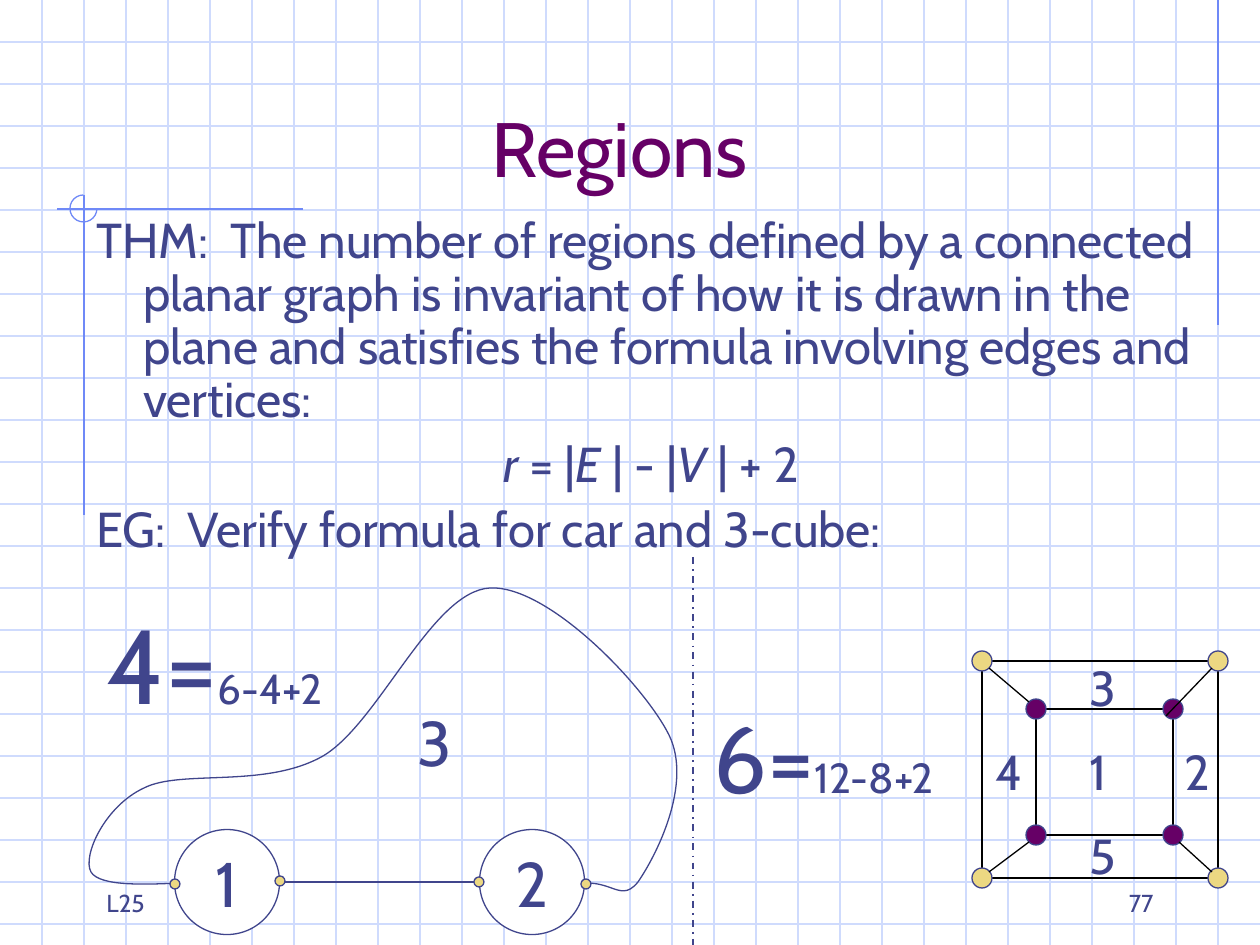
from lxml.etree import SubElement
from pptx import Presentation
from pptx.dml.color import RGBColor
from pptx.enum.dml import MSO_LINE
from pptx.enum.shapes import MSO_CONNECTOR, MSO_SHAPE
from pptx.enum.text import MSO_ANCHOR, PP_ALIGN
from pptx.oxml.ns import qn
from pptx.util import Pt

PX = 7257.14  # EMU per px
WIDE, HIGH = 1260, 945
FONT = "Cabin"
HEX = {"grid": "CFDBFD", "rule": "6F89F7", "ink": "40458C", "plum": "660066",
       "gold": "ECD882", "black": "000000", "white": "FFFFFF"}


def emu(*nums):
    return [round(n * PX) for n in nums]


def color(name):
    return RGBColor.from_string(HEX[name])


def style(font, size, name="ink"):
    font.name, font.size = FONT, Pt(size)
    font.color.rgb = color(name)


def line(slide, x1, y1, x2, y2, name, width=0.75):
    rule = slide.shapes.add_connector(MSO_CONNECTOR.STRAIGHT, *emu(x1, y1, x2, y2))
    rule.line.color.rgb = color(name)
    rule.line.width = Pt(width)
    SubElement(rule.element.spPr, qn("a:effectLst"))
    return rule


def edge(shape, name):
    shape.shadow.inherit = False
    shape.line.color.rgb = color(name)
    shape.line.width = Pt(0.75)


def disc(slide, x, y, size, fill):
    """Circle centred on x, y."""
    ball = slide.shapes.add_shape(
        MSO_SHAPE.OVAL, *emu(x - size / 2, y - size / 2, size, size))
    ball.fill.solid()
    ball.fill.fore_color.rgb = color(fill)
    edge(ball, "ink")
    return ball


def text(slide, box, runs, align=PP_ALIGN.LEFT, name="ink", wrap=False,
         anchor=MSO_ANCHOR.TOP):
    """One paragraph made of (words, size) runs."""
    frame = slide.shapes.add_textbox(*emu(*box)).text_frame
    frame.word_wrap, frame.vertical_anchor = wrap, anchor
    para = frame.paragraphs[0]
    para.alignment = align
    if len(runs) == 1:
        para.text = runs[0][0]
        style(para.font, runs[0][1], name)
        return
    for words, size in runs:
        run = para.add_run()
        run.text = words
        style(run.font, size, name)


def paper(slide, layout, step):
    """Squared paper, kept as one group on the layout."""
    group = slide.shapes.add_group_shape()
    for y in range(step, HIGH, step):
        line(group, 0, y, WIDE, y, "grid")
    for x in range(step, WIDE, step):
        line(group, x, 0, x, HIGH, "grid")
    # Margin rules and corner arc
    for ends in ((1218, 0, 1218, 325), (303, 209, 57, 209), (84, 195, 84, 515)):
        line(group, *ends, "rule")
    arc = group.shapes.add_shape(MSO_SHAPE.ARC, *emu(70, 195, 27, 27))
    arc.adjustments[0], arc.adjustments[1] = 0, 162  # 0 to 270 degrees
    arc.fill.background()
    edge(arc, "rule")
    layout.shapes.element.append(group.element)


def body(slide, box):
    frame = slide.shapes.add_textbox(*emu(*box)).text_frame
    frame.word_wrap = True
    paras = (
        [("THM:  The number of regions defined by a connected planar graph is "
          "invariant of how it is drawn in the plane and satisfies the formula "
          "involving edges and vertices:", False)],
        [("r", True), (" = |", False), ("E ", True), ("| - |", False),
         ("V ", True), ("| + 2", False)],
        [("EG:  Verify formula for car and 3-cube:", False)],
    )
    hang = emu(47)[0]
    for i, parts in enumerate(paras):
        para = frame.add_paragraph() if i else frame.paragraphs[0]
        prop = para._p.get_or_add_pPr()
        prop.set("marL", str(hang))
        prop.set("indent", str(-hang))
        para.line_spacing = 0.9
        if i:
            para.space_before = Pt(7)
        para.alignment = PP_ALIGN.CENTER if len(parts) > 1 else PP_ALIGN.LEFT
        style(para.font, 28)
        for words, slant in parts:
            run = para.add_run()
            run.text = words
            if slant:
                run.font.italic = True


def curve(slide, points):
    """Chain of cubic bends: a start, then three points for each bend."""
    points = [emu(*p) for p in points]
    pen = slide.shapes.build_freeform(*points[0])
    pen.add_line_segments(points[1:], close=False)
    shape = pen.convert_to_shape()
    track = next(shape.element.iter(qn("a:path")))
    legs = track.findall(qn("a:lnTo"))
    for i in range(0, len(legs), 3):
        bend = SubElement(track, qn("a:cubicBezTo"))
        for leg in legs[i:i + 3]:
            bend.append(leg[0])
            track.remove(leg)
    shape.fill.background()
    edge(shape, "ink")


def car(slide, left, top):
    # Outline of the body
    points = (
        (115, 297), (65, 300), (18, 302), (9, 287), (0, 271), (23, 221), (62, 203),
        (99, 184), (183, 204), (241, 171), (297, 138), (350, 6), (408, 3),
        (466, 0), (562, 100), (587, 150), (611, 199), (574, 271), (556, 297),
        (535, 323), (527, 281), (471, 307))
    curve(slide, [(left + x, top + y) for x, y in points])
    line(slide, left + 178, top + 297, left + 408, top + 297, "ink")
    # Wheels
    for x, label in ((450, "2"), (145, "1")):
        frame = disc(slide, left + x, top + 297, 105, "white").text_frame
        frame.word_wrap, frame.vertical_anchor = False, MSO_ANCHOR.MIDDLE
        para = frame.paragraphs[0]
        para.text, para.alignment = label, PP_ALIGN.CENTER
        style(para.font, 36)
    # Vertices
    for x, y in ((397, 297), (198, 296), (504, 299), (93, 299)):
        disc(slide, left + x, top + y, 10, "gold")
    # Counts
    text(slide, (left + 323, top + 112, 60, 88), [("3", 36)])
    text(slide, (left + 12, top + 8, 255, 139), [("4=", 60), ("6-4+2", 24)])


def cube(slide, left, top):
    # Region numbers and count
    for label, x, y in (("1", 105, 84), ("2", 200, 84), ("3", 105, 0),
                        ("4", 11, 84), ("5", 105, 168)):
        text(slide, (left + x, top + y, 53, 72), [(label, 28)])
    text(slide, (left - 271, top + 42, 267, 126), [("6=", 54), ("12-8+2", 24)])
    # Outer and inner squares, with edges that stop at the rim of each vertex
    rim = 10
    for x1, y1, x2, y2, fill in ((10, 10, 246, 227, "gold"), (64, 58, 201, 184, "plum")):
        xs, ys = (left + x1, left + x2), (top + y1, top + y2)
        for y in ys:
            line(slide, xs[0] + rim, y, xs[1] - rim, y, "black")
        for x in xs:
            line(slide, x, ys[0] + rim, x, ys[1] - rim, "black")
            for y in ys:
                disc(slide, x, y, 2 * rim, fill)
    # Spokes between the squares
    for x1, y1, x2, y2 in ((57, 51, 17, 17), (194, 65, 240, 17),
                           (207, 191, 240, 221), (57, 191, 17, 221)):
        line(slide, left + x1, top + y1, left + x2, top + y2, "black")


def foot(slide, top):
    for left, label, align in ((904, "77", PP_ALIGN.RIGHT), (94, "L25", PP_ALIGN.LEFT)):
        text(slide, (left, top, 262, 63), [(label, 14)], align, wrap=True,
             anchor=MSO_ANCHOR.BOTTOM)


def main():
    deck = Presentation()
    deck.slide_width, deck.slide_height = emu(WIDE, HIGH)
    blank = deck.slide_layouts[6]
    slide = deck.slides.add_slide(blank)
    paper(slide, blank, 42)
    text(slide, (84, 42, 1071, 157), [("Regions", 44)], PP_ALIGN.CENTER, "plum",
         True, MSO_ANCHOR.BOTTOM)
    body(slide, (84, 210, 1134, 357))
    cube(slide, 972, 651)
    car(slide, 82, 585)
    # Divider between the two examples
    line(slide, 693, 557, 693, HIGH, "ink", 1).line.dash_style = MSO_LINE.DASH_DOT
    foot(slide, 861)
    deck.save("out.pptx")


if __name__ == "__main__":
    main()
